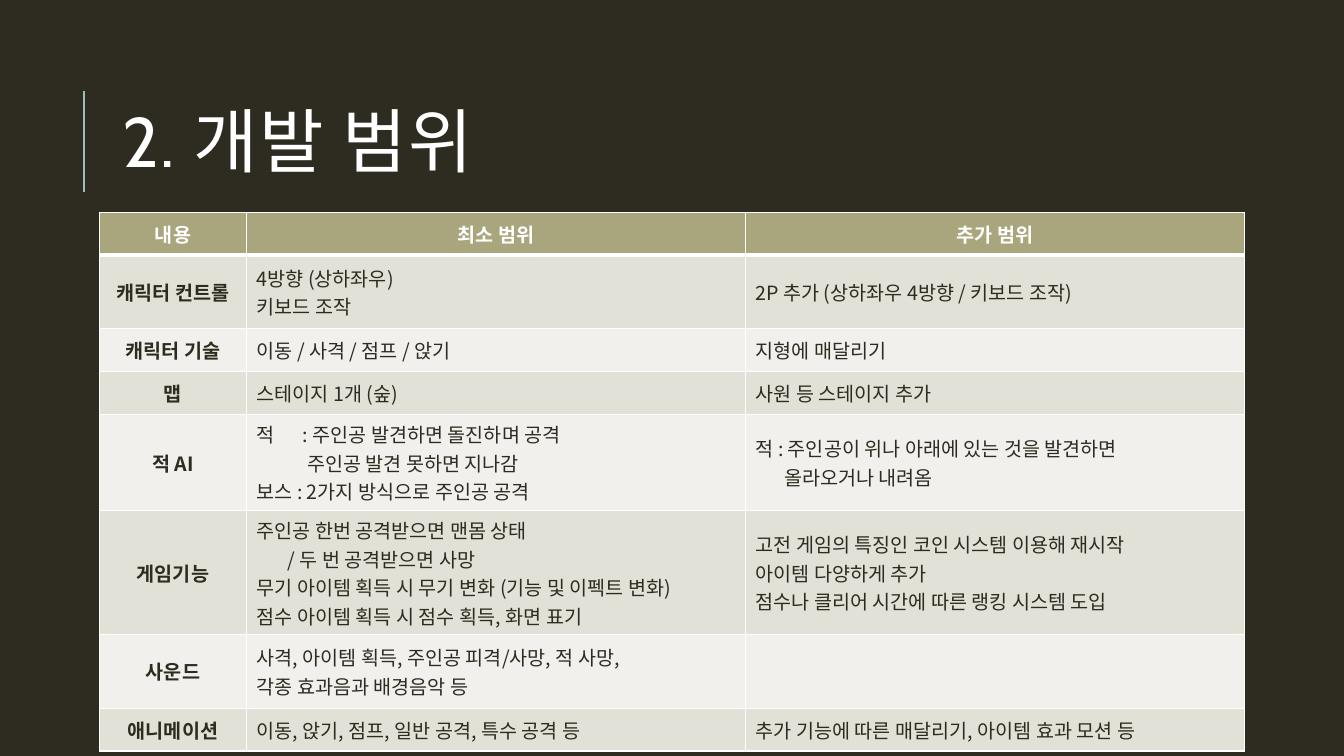
from dataclasses import dataclass

from lxml import etree
from pptx import Presentation
from pptx import util as u
from pptx.dml.color import RGBColor
from pptx.enum import shapes, text
from pptx.oxml.ns import qn

COLS, ROWS = 160, 90  # square grid, twelve units to the inch


@dataclass(frozen=True)
class Theme:
    """Colours, fonts and type sizes."""
    back: str = "2E2B21"
    white: str = "FFFFFF"
    rule: str = "9CBEBD"
    head: str = "A9A57C"
    bands: tuple = ("E2E1D7", "F1F0EC")
    latin: str = "Cabin"
    asian: str = "Noto Sans CJK KR"
    title: int = 50
    body: int = 14


@dataclass(frozen=True)
class Line:
    """One line of a cell, with its indent and tab stop in grid units."""
    words: str
    dent: float = 0
    tab: float = 0


@dataclass(frozen=True)
class Scope:
    """One table row: topic, minimum scope, extra scope and height."""
    topic: str
    base: tuple
    extra: tuple
    high: float = 5.12


THEME = Theme()
WIDTHS = (17.5, 59.4, 59.4)
HEAD = Scope("내용", (Line("최소 범위"),), (Line("추가 범위"),))
SCOPES = (
    Scope("캐릭터 컨트롤", (Line("4방향 (상하좌우)"), Line("키보드 조작")),
          (Line("2P 추가 (상하좌우 4방향 / 키보드 조작)"),), 8.75),
    Scope("캐릭터 기술", (Line("이동 / 사격 / 점프 / 앉기"),),
          (Line("지형에 매달리기"),)),
    Scope("맵", (Line("스테이지 1개 (숲)"),), (Line("사원 등 스테이지 추가"),)),
    Scope("적 AI", (Line("적\t: 주인공 발견하면 돌진하며 공격", tab=5.5),
                   Line("주인공 발견 못하면 지나감", dent=6),
                   Line("보스 : 2가지 방식으로 주인공 공격")),
          (Line("적 : 주인공이 위나 아래에 있는 것을 발견하면"),
           Line("올라오거나 내려옴", dent=3.4)), 11.43),
    Scope("게임기능", (Line("주인공 한번 공격받으면 맨몸 상태"),
                   Line("/ 두 번 공격받으면 사망", dent=3.7),
                   Line("무기 아이템 획득 시 무기 변화 (기능 및 이펙트 변화)"),
                   Line("점수 아이템 획득 시 점수 획득, 화면 표기")),
          (Line("고전 게임의 특징인 코인 시스템 이용해 재시작"),
           Line("아이템 다양하게 추가"),
           Line("점수나 클리어 시간에 따른 랭킹 시스템 도입")), 14.76),
    Scope("사운드", (Line("사격, 아이템 획득, 주인공 피격/사망, 적 사망,"),
                  Line("각종 효과음과 배경음악 등")), (), 8.75),
    Scope("애니메이션", (Line("이동, 앉기, 점프, 일반 공격, 특수 공격 등"),),
          (Line("추가 기능에 따른 매달리기, 아이템 효과 모션 등"),)),
)


def grid(units: float) -> int:
    """Turn grid units into a length."""
    return u.Inches(units / 12)


def paint(fill, tone: str) -> None:
    """Give a fill one solid colour."""
    fill.solid()
    fill.fore_color.rgb = RGBColor.from_string(tone)


def style(para, face: str, size: int, tone: str, bold: bool = False):
    """Set a paragraph's type and return its font element."""
    font = para.font
    font.name, font.size, font.bold = face, u.Pt(size), bold
    font.color.rgb = RGBColor.from_string(tone)
    props = para._p.pPr.find(qn("a:defRPr"))
    etree.SubElement(props, qn("a:ea"), typeface=THEME.asian)
    return props


def edge(cell, top: float, low: float) -> None:
    """Draw the four white borders of a cell."""
    props = cell._tc.get_or_add_tcPr()
    sides = (("L", 1), ("R", 1), ("T", top), ("B", low))
    for spot, (side, wide) in enumerate(sides):
        line = etree.Element(qn(f"a:ln{side}"), w=str(u.Pt(wide)))
        fill = etree.SubElement(line, qn("a:solidFill"))
        etree.SubElement(fill, qn("a:srgbClr"), val=THEME.white)
        props.insert(spot, line)


def write(cell, lines: tuple, tone: str, bold: bool, mid: bool) -> None:
    """Fill a cell with lines of text."""
    cell.vertical_anchor = text.MSO_ANCHOR.MIDDLE
    frame = cell.text_frame
    for num, line in enumerate(lines):
        para = frame.add_paragraph() if num else frame.paragraphs[0]
        para.text = line.words
        para.alignment = text.PP_ALIGN.CENTER if mid else text.PP_ALIGN.LEFT
        style(para, THEME.asian, THEME.body, tone, bold)
        props = para._p.pPr
        if line.dent:
            props.set("marL", str(grid(line.dent)))
            props.set("indent", "0")
        if line.tab:
            tabs = etree.Element(qn("a:tabLst"))
            etree.SubElement(tabs, qn("a:tab"), pos=str(grid(line.tab)), algn="l")
            props.insert(0, tabs)


def title(slide) -> None:
    """Add the heading and the rule beside it."""
    rule = slide.shapes.add_connector(
        shapes.MSO_CONNECTOR.STRAIGHT, grid(10), grid(22.8), grid(10), grid(10.8))
    rule.line.width = u.Pt(1.5)
    paint(rule.line.fill, THEME.rule)
    etree.SubElement(rule._element.spPr, qn("a:effectLst"))
    box = slide.shapes.add_textbox(grid(13.44), grid(7.68), grid(127.56), grid(19.68))
    frame = box.text_frame
    frame.word_wrap = True
    frame.vertical_anchor = text.MSO_ANCHOR.MIDDLE
    para = frame.paragraphs[0]
    para.text = "2. 개발 범위"
    para.line_spacing = 0.8
    style(para, THEME.latin, THEME.title, THEME.white).set("spc", "100")


def table(slide) -> None:
    """Add the table of scopes."""
    items = (HEAD, *SCOPES)
    body = slide.shapes.add_table(
        len(items), len(WIDTHS), grid(11.85), grid(25.26),
        grid(sum(WIDTHS)), grid(sum(item.high for item in items))).table
    for col, wide in zip(body.columns, WIDTHS):
        col.width = grid(wide)
    for row, item in enumerate(items):
        body.rows[row].height = grid(item.high)
        top = row == 0
        tone = THEME.white if top else THEME.back
        band = THEME.head if top else THEME.bands[(row - 1) % 2]
        for col, lines in enumerate(((Line(item.topic),), item.base, item.extra)):
            cell = body.cell(row, col)
            key = top or col == 0
            write(cell, lines, tone, key, key)
            paint(cell.fill, band)
            edge(cell, 3 if row == 1 else 1, 3 if top else 1)


def main() -> None:
    """Build and save the slide."""
    deck = Presentation()
    deck.slide_width, deck.slide_height = grid(COLS), grid(ROWS)
    slide = deck.slides.add_slide(deck.slide_layouts[6])
    paint(slide.background.fill, THEME.back)
    title(slide)
    table(slide)
    deck.save("out.pptx")


main()
